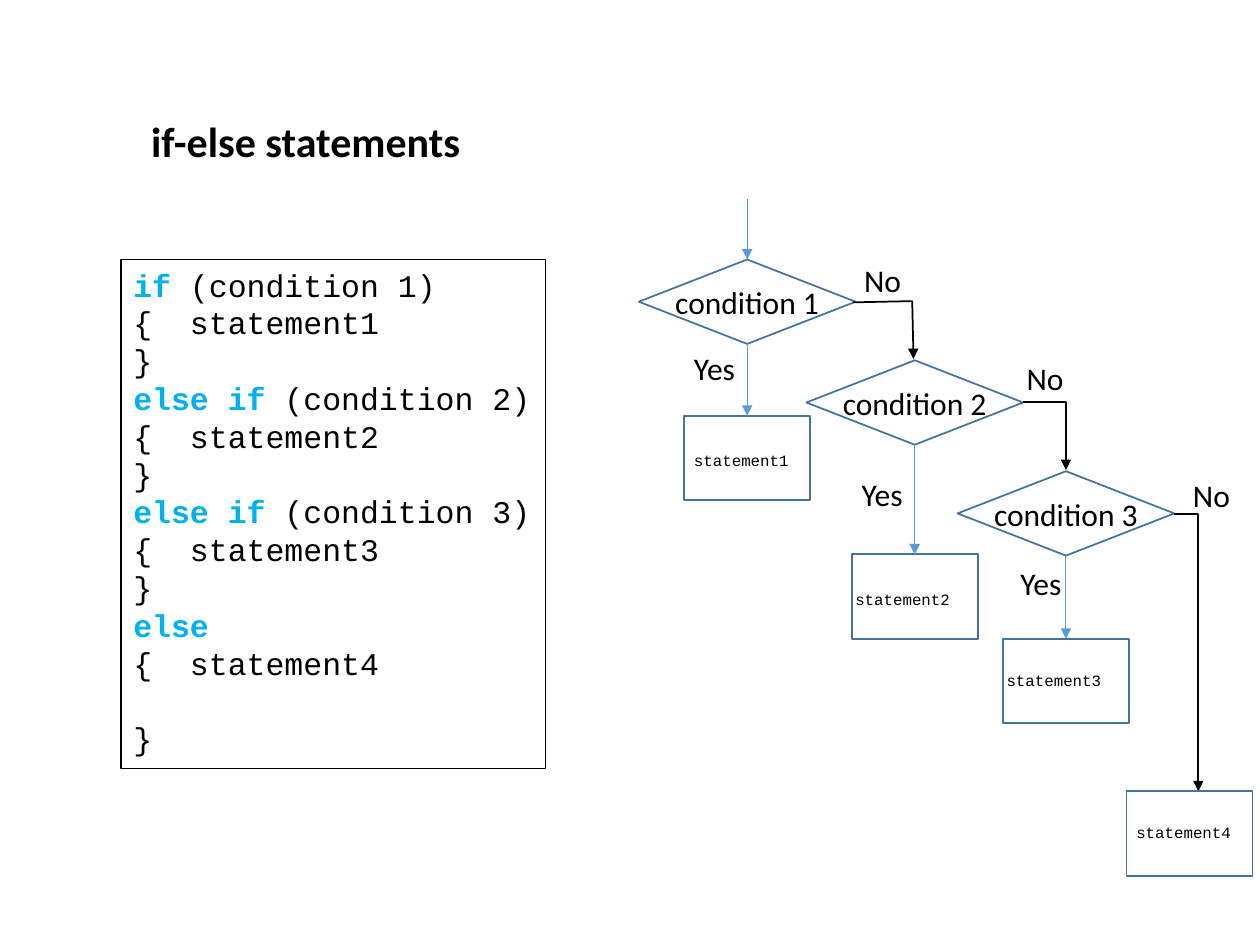
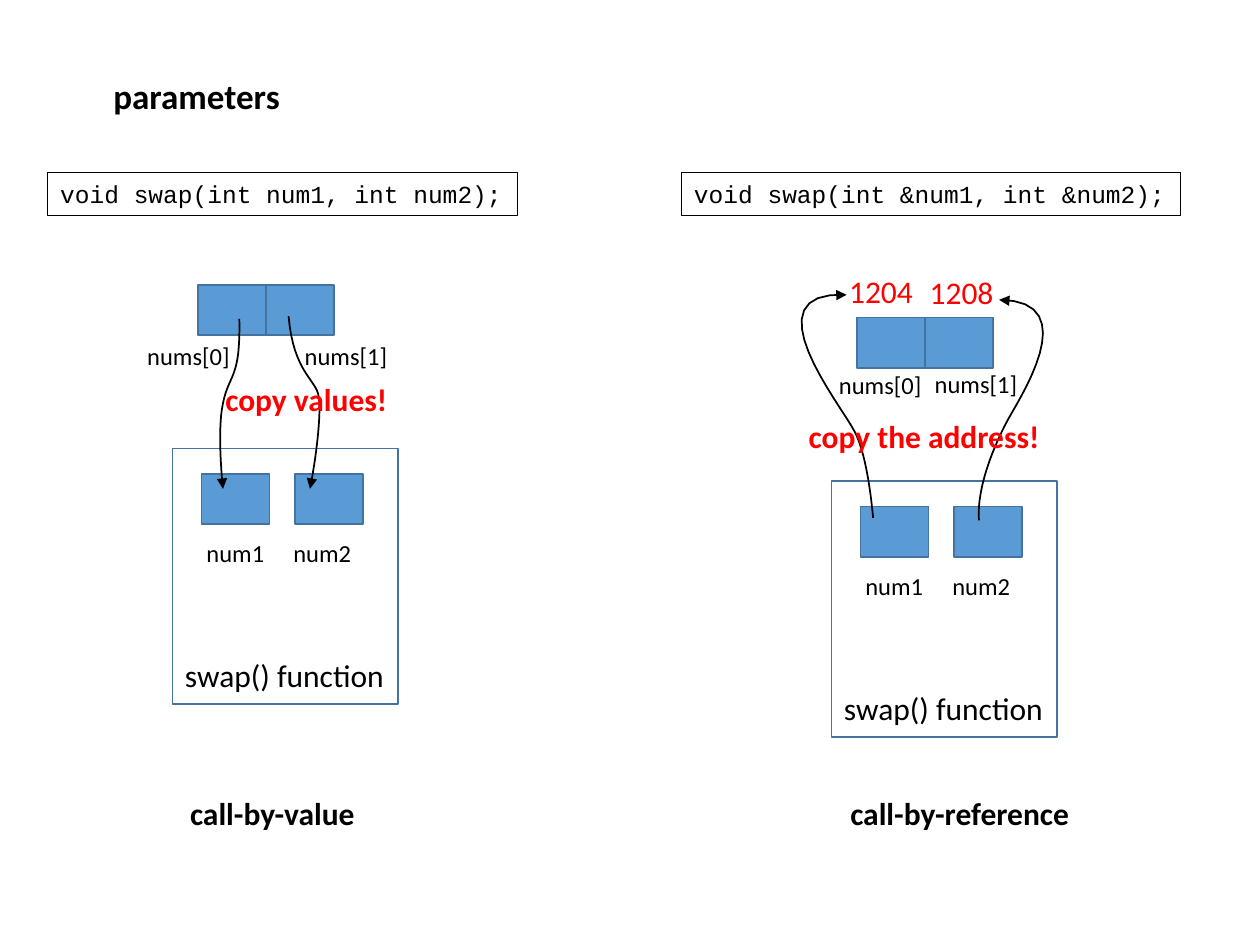
"""Build two programming slides: if-else flow and parameter passing."""
import pptx
import pptx.dml.color
import pptx.enum.shapes
import pptx.enum.text
import pptx.oxml
import pptx.oxml.ns
import pptx.util

Inches = pptx.util.Inches
Pt = pptx.util.Pt
SHAPE = pptx.enum.shapes.MSO_SHAPE
BLACK, RED, CYAN, WHITE = "000000", "FF0000", "00B0F0", "FFFFFF"
BLUE, EDGE = "5B9BD5", "43739E"
BODY, CODE = "Calibri", "Courier New"
TEXT_HEIGHTS = {9: 0.25, 14: 0.34, 18: 0.4}


def rgb(color):
    """Turn a hex string into a colour."""
    return pptx.dml.color.RGBColor.from_string(color)


def write(p, text, size=18, font=BODY, color=BLACK, bold=False):
    """Add a formatted run to a paragraph."""
    r = p.add_run()
    r.text = text
    r.font.size = Pt(size)
    r.font.name = font
    r.font.bold = bold
    r.font.color.rgb = rgb(color)


def format_frame(tf, grow=True, center=False):
    """Set an unwrapped text frame and return its first paragraph."""
    auto, anchor = pptx.enum.text.MSO_AUTO_SIZE, pptx.enum.text.MSO_ANCHOR
    align = pptx.enum.text.PP_ALIGN
    tf.word_wrap = False
    tf.auto_size = auto.SHAPE_TO_FIT_TEXT if grow else auto.NONE
    tf.vertical_anchor = anchor.MIDDLE if center else anchor.TOP
    p = tf.paragraphs[0]
    p.alignment = align.CENTER if center else align.LEFT
    return p


def add_title_slide(prs, text, x, y, w, h, size):
    """Add a title-only slide with its title in place."""
    s = prs.slides.add_slide(prs.slide_layouts[5])
    sp = s.shapes.title
    sp.left, sp.top, sp.width, sp.height = map(Inches, (x, y, w, h))
    write(format_frame(sp.text_frame), text, size=size, bold=True)
    return s


def add_label(s, text, x, y, w, size=18, **fmt):
    """Add a one-line text box."""
    sp = s.shapes.add_textbox(*map(Inches, (x, y, w, TEXT_HEIGHTS[size])))
    write(format_frame(sp.text_frame), text, size=size, **fmt)


def add_box(s, x, y, w, h, kind=SHAPE.RECTANGLE, fill=None, line=EDGE, width=1):
    """Add an outlined preset shape."""
    sp = s.shapes.add_shape(kind, *map(Inches, (x, y, w, h)))
    sp.shadow.inherit = False
    if fill:
        sp.fill.solid()
        sp.fill.fore_color.rgb = rgb(fill)
    else:
        sp.fill.background()
    sp.line.color.rgb = rgb(line)
    sp.line.width = Pt(width)
    return sp


def add_arrowhead(sp, end="tailEnd"):
    """Put a triangle on one end of a line."""
    ln = sp.element.spPr.find(pptx.oxml.ns.qn("a:ln"))
    ln.append(pptx.oxml.parse_xml(
        f'<a:{end} {pptx.oxml.ns.nsdecls("a")} type="triangle"/>'))


def add_arrow(s, start, end, source=None, target=None):
    """Add a thin straight arrow, joined to the shapes given."""
    straight = pptx.enum.shapes.MSO_CONNECTOR.STRAIGHT
    c = s.shapes.add_connector(straight, *map(Inches, (*start, *end)))
    if source:
        c.begin_connect(source, 2)
    if target:
        c.end_connect(target, 0)
    c.line.color.rgb = rgb(BLUE)
    c.line.width = Pt(0.5)
    c.element.spPr.append(pptx.oxml.parse_xml(
        f'<a:effectLst {pptx.oxml.ns.nsdecls("a")}/>'))
    add_arrowhead(c)


def add_path(s, points, end="tailEnd"):
    """Add an open black path with an arrowhead."""
    start, *rest = [(Inches(x), Inches(y)) for x, y in points]
    builder = s.shapes.build_freeform(*start)
    builder.add_line_segments(rest, close=False)
    sp = builder.convert_to_shape()
    sp.shadow.inherit = False
    sp.fill.background()
    sp.line.color.rgb = rgb(BLACK)
    sp.line.width = Pt(1)
    add_arrowhead(sp, end)


def bezier(points, steps=16):
    """Trace a chain of cubic curves as points."""
    traced = [points[0]]
    for i in range(0, len(points) - 1, 3):
        for step in range(1, steps + 1):
            t = step / steps
            weights = ((1 - t) ** 3, 3 * t * (1 - t) ** 2,
                       3 * t * t * (1 - t), t ** 3)
            traced.append(tuple(
                sum(k * pt[axis] for k, pt in zip(weights, points[i:i + 4]))
                for axis in (0, 1)))
    return traced


def add_code(s):
    """Add the framed if-else listing."""
    branches = (("if ", "(condition 1)"), ("else if ", "(condition 2)"),
                ("else if ", "(condition 3)"), ("else", ""))
    tf = add_box(s, 0.96, 2.06, 3.37, 4.04, line=BLACK, width=0.75).text_frame
    p = format_frame(tf, grow=False)
    for number, (keyword, condition) in enumerate(branches, 1):
        if number > 1:
            p = tf.add_paragraph()
        write(p, keyword, font=CODE, color=CYAN, bold=True)
        if condition:
            write(p, condition, font=CODE)
        for text in (f"{{  statement{number}", "}"):
            p = tf.add_paragraph()
            write(p, text, font=CODE)
    for p in tf.paragraphs:
        p.alignment = pptx.enum.text.PP_ALIGN.LEFT
        p.line_spacing = Pt(21.6)
    p.space_before = Pt(21.6)


def add_statement(s, number, x, y, label_x, label_y):
    """Add a statement box with its label."""
    sp = add_box(s, x, y, 1, 0.67, SHAPE.FLOWCHART_PROCESS)
    add_label(s, f"statement{number}", label_x, label_y, 1.13, size=9, font=CODE)
    return sp


def add_decision(s, number, x, y, process_y, label, yes, no, elbow):
    """Add a condition with its yes and no branches."""
    w, h = 1.72, 0.67
    center = x + w / 2
    decision = add_box(s, x, y, w, h, SHAPE.FLOWCHART_DECISION)
    p = format_frame(decision.text_frame, grow=False, center=True)
    write(p, f"condition {number}")
    process = add_statement(s, number, center - 0.5, process_y, *label)
    add_arrow(s, (center, y + h), (center, process_y), decision, process)
    add_path(s, elbow)
    add_label(s, "Yes", *yes, 0.53)
    add_label(s, "No", *no, 0.5)
    return decision


def add_flowchart(s):
    """Add the chain of three conditions and four statements."""
    first = add_decision(s, 1, 5.07, 2.06, 3.3, (5.41, 3.53), (5.41, 2.72),
                         (6.76, 2.02), [(6.77, 2.4), (7.24, 2.39), (7.25, 2.85)])
    add_decision(s, 2, 6.4, 2.86, 4.4, (6.69, 4.63), (6.74, 3.72),
                 (8.05, 2.8), [(8.12, 3.19), (8.46, 3.19), (8.46, 3.73)])
    add_decision(s, 3, 7.6, 3.74, 5.07, (7.89, 5.27), (8, 4.43),
                 (9.37, 3.73), [(9.32, 4.08), (9.51, 4.08), (9.51, 6.28)])
    add_statement(s, 4, 8.94, 6.28, 8.92, 6.48)
    add_arrow(s, (5.93, 1.58), (5.93, 2.06), target=first)


def add_signature(s, text, x, w):
    """Add a framed function declaration."""
    sp = add_box(s, x, 1.37, w, 0.34, line=BLACK, width=0.75)
    write(format_frame(sp.text_frame), text, size=14, font=CODE)


def add_memory(s, x, y, nums, curves, end):
    """Add the array, the function frame and the curves between them."""
    for dx in (0.2, 0.74):
        add_box(s, x + dx, y, 0.54, 0.4, fill=BLUE)
    for i, place in enumerate(nums):
        add_label(s, f"nums[{i}]", *place, 0.86, size=14)
    add_box(s, x, y + 1.3, 1.79, 2.03, fill=WHITE)
    add_label(s, "swap() function", x, y + 2.9, 1.8)
    for name, dx, label_dx in (("num1", 0.23, 0.17), ("num2", 0.97, 0.86)):
        add_box(s, x + dx, y + 1.5, 0.54, 0.4, fill=BLUE)
        add_label(s, name, x + label_dx, y + 1.96, 0.66, size=14)
    for points in curves:
        add_path(s, bezier(points), end)


def add_call_by_value(s):
    """Add the left half, where values are copied."""
    curves = (
        [(1.9, 2.53), (1.91, 3.01), (1.82, 2.96), (1.77, 3.2),
         (1.72, 3.43), (1.77, 3.88), (1.77, 3.88)],
        [(2.29, 2.51), (2.33, 2.96), (2.51, 3.01), (2.53, 3.15),
         (2.55, 3.29), (2.51, 3.63), (2.46, 3.88)])
    add_signature(s, "void swap(int num1, int num2);", 0.38, 3.73)
    add_memory(s, 1.37, 2.26, ((1.07, 2.66), (2.32, 2.66)), curves, "tailEnd")
    add_label(s, "copy values!", 1.69, 2.97, 1.5, color=RED, bold=True)
    add_label(s, "call-by-value", 1.41, 6.25, 1.52, bold=True)


def add_call_by_reference(s):
    """Add the right half, where addresses are copied."""
    curves = (
        [(6.72, 2.34), (5.93, 2.3), (6.68, 3.22), (6.78, 3.42),
         (6.89, 3.61), (6.93, 4.11), (6.93, 4.11)],
        [(7.93, 2.38), (8.63, 2.38), (8.07, 3.19), (7.99, 3.35),
         (7.9, 3.52), (7.75, 3.86), (7.77, 4.13)])
    add_signature(s, "void swap(int &num1, int &num2);", 5.41, 3.96)
    add_memory(s, 6.6, 2.52, ((6.56, 2.89), (7.32, 2.88)), curves, "headEnd")
    add_label(s, "copy the address!", 6.32, 3.26, 2.05, color=RED, bold=True)
    add_label(s, "1204", 6.64, 2.11, 0.71, color=RED)
    add_label(s, "1208", 7.28, 2.12, 0.71, color=RED)
    add_label(s, "call-by-reference", 6.65, 6.25, 1.95, bold=True)


def main():
    """Build and save the presentation."""
    prs = pptx.Presentation()
    prs.slide_width, prs.slide_height = Inches(10), Inches(7.5)
    s = add_title_slide(prs, "if-else statements", 1.1, 0.87, 2.69, 0.5, 24)
    add_code(s)
    add_flowchart(s)
    s = add_title_slide(prs, "parameters", 0.8, 0.54, 1.54, 0.44, 20)
    add_call_by_value(s)
    add_call_by_reference(s)
    prs.save("out.pptx")


if __name__ == "__main__":
    main()
